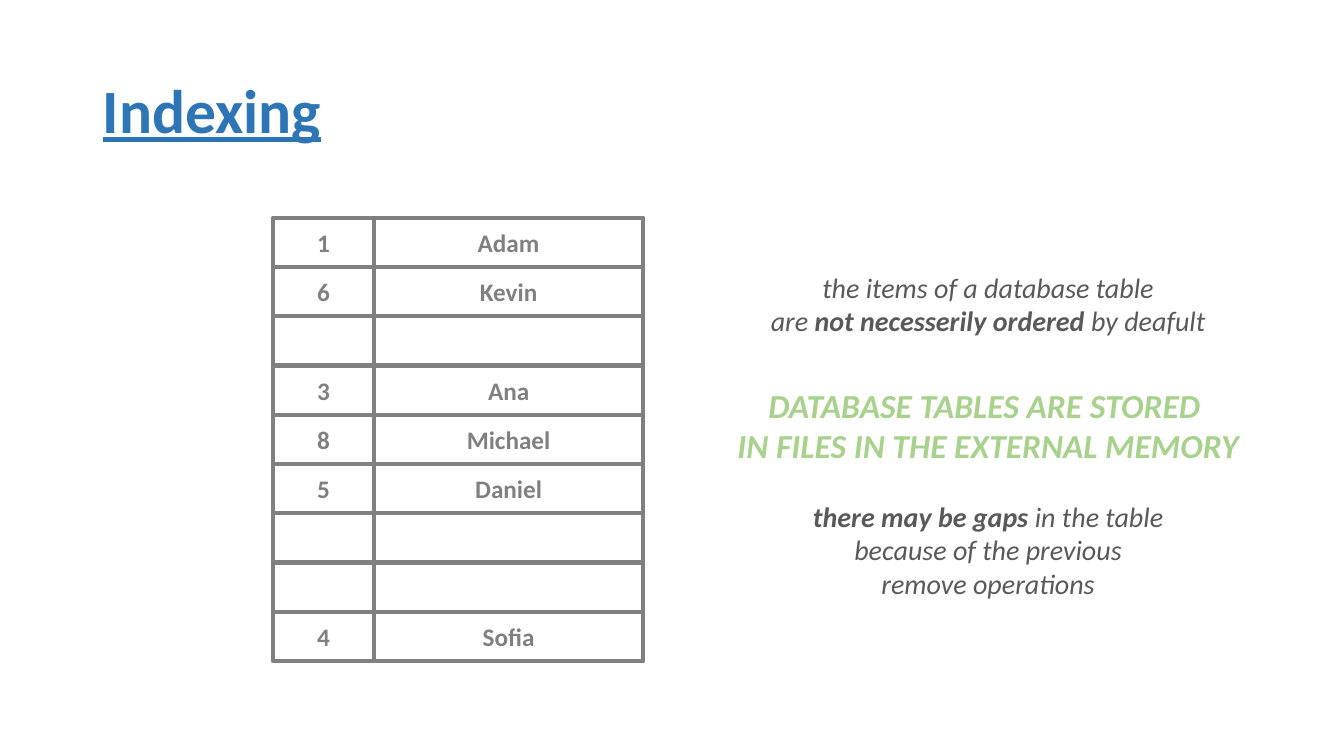
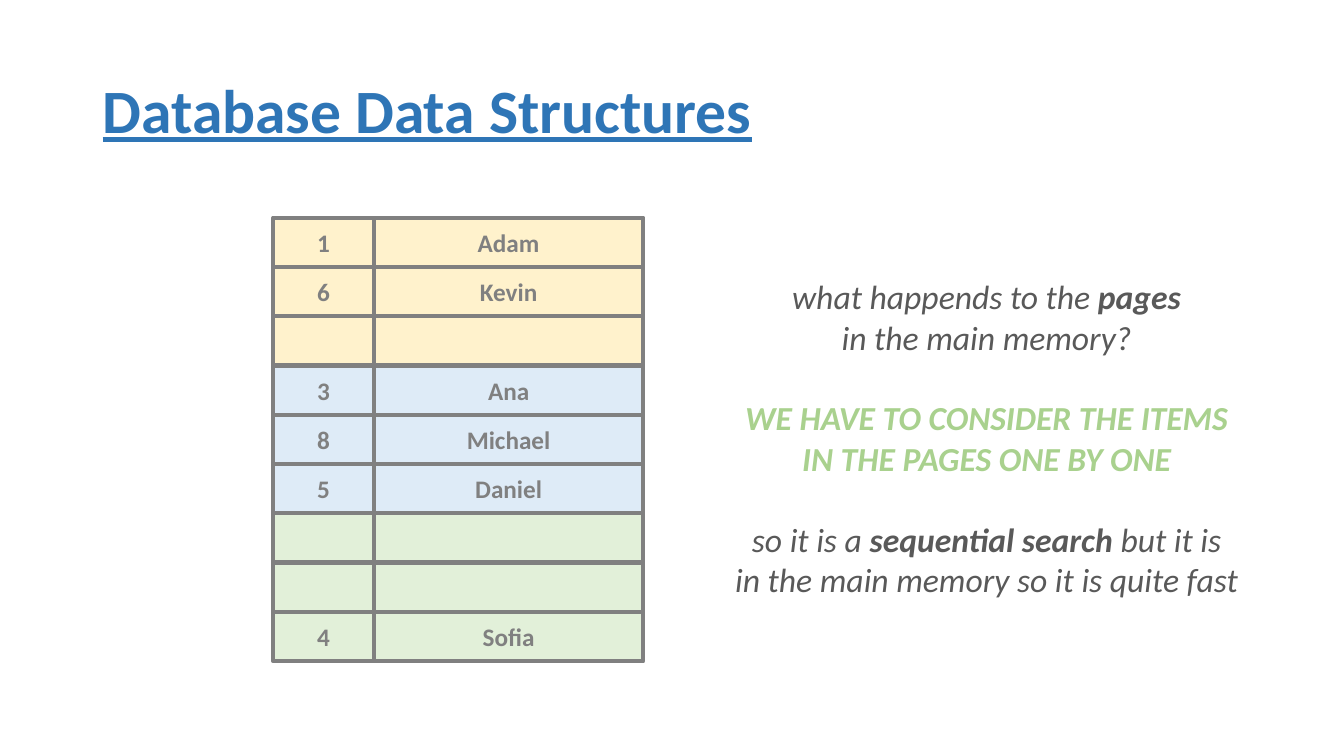
from pptx import Presentation
from pptx import util as u
from pptx.dml.color import RGBColor
from pptx.enum import shapes, text

COLORS = {"title": "2E75B6", "grid": "808080", "body": "595959", "accent": "A9D18E",
          "white": "FFFFFF", "yellow": "FFF2CC", "blue": "DEEBF7", "green": "E2F0D9"}
TITLE = {"size": u.Pt(44), "bold": True, "underline": True}
CELL = {"size": u.Pt(18), "bold": True}
ROWS = [("1", "Adam"), ("6", "Kevin"), ("", ""), ("3", "Ana"), ("8", "Michael"),
        ("5", "Daniel"), ("", ""), ("", ""), ("4", "Sofia")]
PAGE_ROWS = 3
COLUMNS = ((2.71, 1), (3.71, 2.67))
GRID_TOP, LAST_ROW_TOP, ROW_HEIGHT = 2.16, 6.07, 0.49
ROW_STEP = (LAST_ROW_TOP - GRID_TOP) / (len(ROWS) - 1)

SLIDES = [
    {"title": "Indexing", "pages": ("white", "white", "white"),
     "box": (7.19, 2.63, 5.22, 3.4),
     "notes": [
         (20, "body", 0, [[("the items of a database table", False)],
                          [("are ", False), ("not necesserily ordered ", True),
                           ("by deafult", False)]]),
         (24, "accent", 34, [[("DATABASE TABLES ARE STORED ", True)],
                             [("IN FILES IN THE EXTERNAL MEMORY", True)]]),
         (20, "body", 24, [[("there may be gaps ", True), ("in the table", False)],
                           [("because of the previous", False)],
                           [("remove operations", False)]])]},
    {"title": "Database Data Structures", "pages": ("yellow", "blue", "green"),
     "box": (7.16, 2.69, 5.25, 3.33),
     "notes": [
         (24, "body", 0, [[("what happends to the ", False), ("pages", True)],
                          [("in the main memory?", False)]]),
         (24, "accent", 29, [[("WE HAVE TO CONSIDER THE ITEMS", True)],
                             [("IN THE PAGES ONE BY ONE", True)]]),
         (24, "body", 29, [[("so it is a ", False), ("sequential search ", True),
                            ("but it is", False)],
                           [("in the main memory so it is quite fast", False)]])]},
]


def add_run(p, words, color, fmt):
    r = p.add_run()
    r.text = words
    r.font.name = "Calibri"
    r.font.color.rgb = RGBColor.from_string(COLORS[color])
    for name, value in fmt.items():
        setattr(r.font, name, value)


prs = Presentation()
prs.slide_width, prs.slide_height = u.Inches(13.33), u.Inches(7.5)

for content in SLIDES:
    s = prs.slides.add_slide(prs.slide_layouts[6])

    sp = s.shapes.add_textbox(*map(u.Inches, (0.92, 0.4, 11.5, 1.45)))
    tf = sp.text_frame
    tf.word_wrap = True
    tf.vertical_anchor = text.MSO_ANCHOR.MIDDLE
    p = tf.paragraphs[0]
    p.line_spacing = 0.9
    add_run(p, content["title"], "title", TITLE)

    for i, values in enumerate(ROWS):
        page = content["pages"][i // PAGE_ROWS]
        top = GRID_TOP + i * ROW_STEP
        for (left, width), value in zip(COLUMNS, values):
            sp = s.shapes.add_shape(shapes.MSO_SHAPE.RECTANGLE,
                                    *map(u.Inches, (left, top, width, ROW_HEIGHT)))
            sp.shadow.inherit = False
            sp.fill.solid()
            sp.fill.fore_color.rgb = RGBColor.from_string(COLORS[page])
            sp.line.color.rgb = RGBColor.from_string(COLORS["grid"])
            sp.line.width = u.Pt(3)
            if value:
                tf = sp.text_frame
                tf.vertical_anchor = text.MSO_ANCHOR.MIDDLE
                p = tf.paragraphs[0]
                p.alignment = text.PP_ALIGN.CENTER
                add_run(p, value, "grid", CELL)

    sp = s.shapes.add_textbox(*map(u.Inches, content["box"]))
    tf = sp.text_frame
    tf.word_wrap = False
    tf.auto_size = text.MSO_AUTO_SIZE.SHAPE_TO_FIT_TEXT
    p = tf.paragraphs[0]
    for points, color, gap, lines in content["notes"]:
        for n, line in enumerate(lines):
            if p.runs:
                p = tf.add_paragraph()
            p.alignment = text.PP_ALIGN.CENTER
            if gap and n == 0:
                p.space_before = u.Pt(gap)
            for words, bold in line:
                add_run(p, words, color, {"size": u.Pt(points), "bold": bold, "italic": True})

prs.save("out.pptx")
